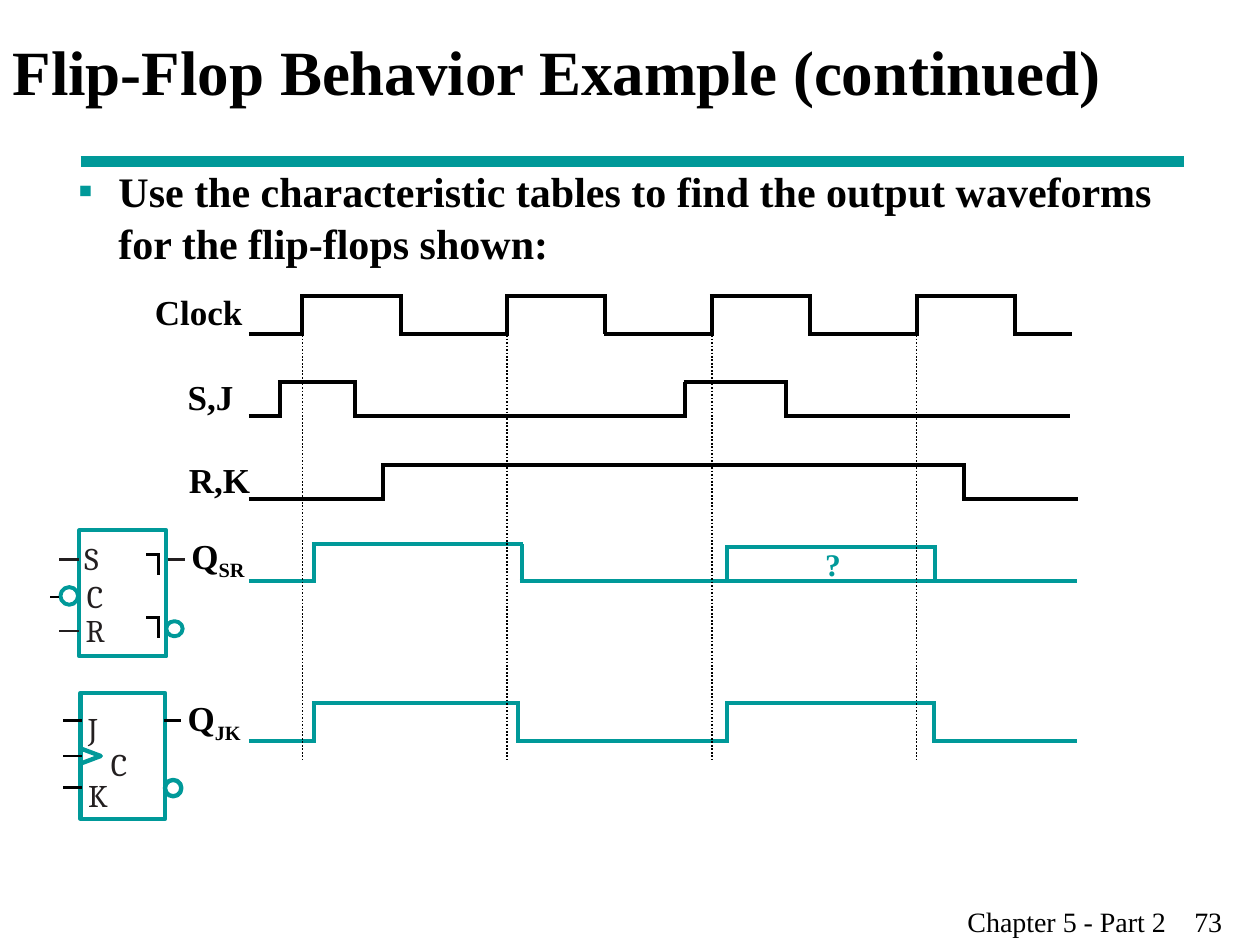
from lxml.etree import SubElement
from pptx import Presentation
from pptx.dml.color import RGBColor
from pptx.enum.dml import MSO_LINE
from pptx.enum.shapes import MSO_CONNECTOR, MSO_SHAPE
from pptx.enum.text import MSO_ANCHOR, MSO_AUTO_SIZE as AUTO_SIZE, PP_ALIGN
from pptx.oxml.ns import qn
from pptx.util import Inches, Pt

BLACK = RGBColor(0x00, 0x00, 0x00)
INK = RGBColor(0x23, 0x1F, 0x20)
TEAL = RGBColor(0x00, 0x99, 0x99)
WHITE = RGBColor(0xFF, 0xFF, 0xFF)

TITLE = {"name": "Times New Roman", "size": Pt(36), "bold": True}
BODY = {"name": "Times New Roman", "size": Pt(24), "bold": True}
LABEL = {"name": "Times New Roman", "size": Pt(20), "bold": True}
UNKNOWN = {"name": "Times New Roman", "size": Pt(18), "bold": True}
FOOTER = {"name": "Times New Roman", "size": Pt(16)}
PIN = {"name": "Cambria", "size": Pt(18)}

prs = Presentation()
prs.slide_width, prs.slide_height = Inches(10), Inches(7.5)
slide = prs.slides.add_slide(prs.slide_layouts[1])
shapes = slide.shapes


def add_line(x1, y1, x2, y2, color=BLACK, width=2.25):
    line = shapes.add_connector(MSO_CONNECTOR.STRAIGHT, Inches(x1), Inches(y1),
                                Inches(x2), Inches(y2))
    line.line.color.rgb = color
    line.line.width = Pt(width)
    SubElement(line._element.spPr, qn("a:effectLst"))
    return line


def write(frame, text, style, color=BLACK, subscript=""):
    """Fill the frame's first paragraph with formatted text and a subscript."""
    paragraph = frame.paragraphs[0]
    paragraph.space_before = Pt(0)
    paragraph.alignment = PP_ALIGN.LEFT
    for part in filter(None, (text, subscript)):
        run = paragraph.add_run()
        run.text = part
        run.font.color.rgb = color
        for attribute, value in style.items():
            setattr(run.font, attribute, value)
    if subscript:
        run.font._element.set("baseline", "-25000")
    return paragraph


# Heading, rule and task
add_line(0.64, 1.28, 9.4, 1.28, TEAL, 6)

heading = shapes.title
task = slide.placeholders[1]
for holder, box in ((heading, (0, 0, 9.45, 1.12)), (task, (0.52, 1.24, 8.86, 5.5))):
    holder.left, holder.top, holder.width, holder.height = map(Inches, box)
    holder.text_frame.auto_size = AUTO_SIZE.NONE
heading.text_frame.vertical_anchor = MSO_ANCHOR.MIDDLE
write(heading.text_frame, "Flip-Flop Behavior Example (continued)", TITLE)

bullet = write(task.text_frame, "Use the characteristic tables to find the output "
               "waveforms for the flip-flops shown:", BODY)
bullet.line_spacing = 1.05
bullet_format = bullet._p.get_or_add_pPr()
bullet_format.set("marL", str(Inches(0.32)))
bullet_format.set("indent", str(-Inches(0.32)))
bullet_color = SubElement(bullet_format, qn("a:buClr"))
SubElement(bullet_color, qn("a:srgbClr"), val=str(TEAL))
SubElement(bullet_format, qn("a:buFont"), typeface="Times New Roman")
SubElement(bullet_format, qn("a:buChar"), char="▪")

# Flip-flop symbols: bodies, then inversion bubbles, then pins
for shape_type, box, fill, width in (
    (MSO_SHAPE.RECTANGLE, (0.63, 4.21, 0.69, 1), None, 2.25),
    (MSO_SHAPE.RECTANGLE, (0.64, 5.5, 0.67, 1), None, 2.5),
    (MSO_SHAPE.OVAL, (0.48, 4.66, 0.14, 0.14), WHITE, 2.25),
    (MSO_SHAPE.OVAL, (1.32, 4.93, 0.13, 0.12), WHITE, 2.25),
    (MSO_SHAPE.OVAL, (1.31, 6.19, 0.13, 0.13), None, 2.5),
):
    part = shapes.add_shape(shape_type, *map(Inches, box))
    part.shadow.inherit = False
    part.line.color.rgb = TEAL
    part.line.width = Pt(width)
    if fill is None:
        part.fill.background()
    else:
        part.fill.solid()
        part.fill.fore_color.rgb = fill

wedge_path = shapes.build_freeform(Inches(0.64), Inches(5.94))
wedge_path.add_line_segments([(Inches(0.8), Inches(6)), (Inches(0.64), Inches(6.06))],
                             close=False)
clock_wedge = wedge_path.convert_to_shape()
clock_wedge.shadow.inherit = False
clock_wedge.fill.background()
clock_wedge.line.color.rgb = TEAL
clock_wedge.line.width = Pt(2.5)

for left, right, y, color, width in (
    (0.47, 0.63, 4.44, INK, 1.25), (1.33, 1.47, 4.44, INK, 1.25),
    (0.4, 0.47, 4.74, BLACK, 1), (0.47, 0.63, 5.01, INK, 1.25),
    (0.5, 0.65, 5.72, BLACK, 1.5), (1.3, 1.44, 5.72, BLACK, 1.5),
    (0.5, 0.65, 6, BLACK, 1.5), (0.5, 0.65, 6.25, BLACK, 1.5),
):
    add_line(left, y, right, y, color, width)

# Postponed-output marks
for y in (4.4, 4.9):
    add_line(1.16, y, 1.27, y, BLACK, 1.5)
    add_line(1.26, y, 1.26, y + 0.16, BLACK, 1.5)

for name, left, top in (("S", 0.67, 4.28), ("C", 0.69, 4.58), ("R", 0.68, 4.85),
                        ("J", 0.7, 5.63), ("C", 0.88, 5.91), ("K", 0.7, 6.16)):
    frame = shapes.add_textbox(Inches(left), Inches(top), Inches(0.15),
                               Inches(0.3)).text_frame
    frame.margin_left = frame.margin_right = frame.margin_top = frame.margin_bottom = 0
    frame.word_wrap = False
    write(frame, name, PIN, INK)

# Waveforms: each starts low and toggles at every inner time
rising = [2.4 + 1.625 * cycle for cycle in range(4)]
clock_edges = [time for rise in rising for time in (rise, rise + 0.78)]
OVERLAP = 0.015
for color, low, high, times in (
    (BLACK, 2.65, 2.35, [1.99, *clock_edges, 8.49]),
    (BLACK, 3.3, 3.03, [1.99, 2.22, 2.82, 5.44, 6.24, 8.48]),
    (BLACK, 3.96, 3.69, [1.99, 3.04, 7.65, 8.54]),
    (TEAL, 4.61, 4.32, [1.99, 2.49, 4.14, 5]),
    (TEAL, 4.61, 4.34, [5, 5.77, 7.42, 8.53]),
    (TEAL, 5.88, 5.58, [1.99, 2.49, 4.11, 5.77, 7.41, 8.53]),
):
    for step, (start, end) in enumerate(zip(times, times[1:])):
        level = high if step % 2 else low
        add_line(start - OVERLAP, level, end + OVERLAP, level, color)
    for edge in times[1:-1]:
        add_line(edge, low, edge, high, color)
add_line(5.77, 4.61, 7.42, 4.61, TEAL)

for rise in rising:
    add_line(rise, 2.66, rise, 6.03, BLACK, 1).line.dash_style = MSO_LINE.ROUND_DOT

# Signal names and page footer
for text, subscript, box, style, color in (
    ("Clock", "", (1.13, 2.26, 0.91, 0.44), LABEL, BLACK),
    ("S,J", "", (1.39, 2.93, 0.68, 0.44), LABEL, BLACK),
    ("R,K", "", (1.4, 3.59, 0.77, 0.44), LABEL, BLACK),
    ("Q", "SR", (1.42, 4.19, 0.73, 0.48), LABEL, BLACK),
    ("Q", "JK", (1.39, 5.48, 0.73, 0.48), LABEL, BLACK),
    ("?", "", (6.45, 4.28, 0.68, 0.4), UNKNOWN, TEAL),
    ("Chapter 5 - Part 2\t73", "", (7.58, 7.13, 2.42, 0.37), FOOTER, BLACK),
):
    frame = shapes.add_textbox(*map(Inches, box)).text_frame
    frame.word_wrap = True
    paragraph = write(frame, text, style, color, subscript)
    if "\t" in text:
        stops = SubElement(paragraph._p.get_or_add_pPr(), qn("a:tabLst"))
        SubElement(stops, qn("a:tab"), pos=str(Inches(1.8)), algn="l")

prs.save("out.pptx")
